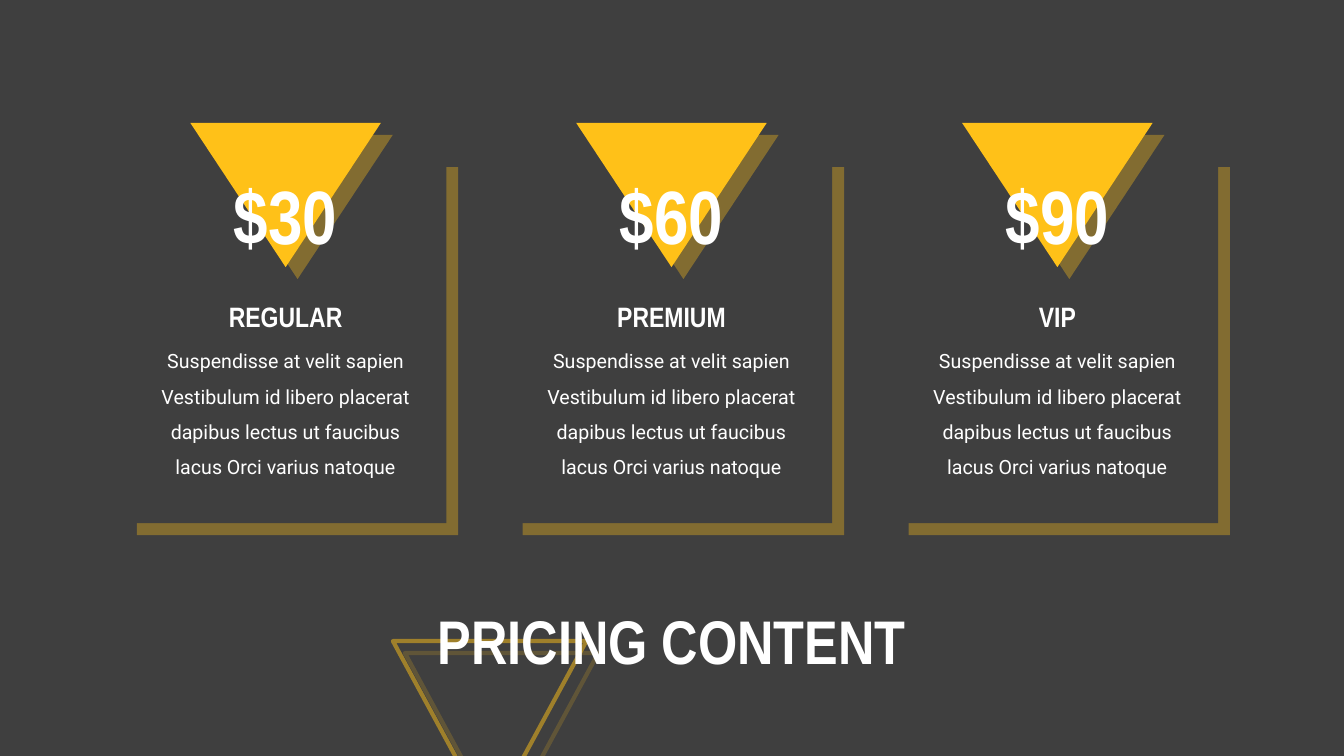
from dataclasses import dataclass

from lxml import etree
from pptx import Presentation
from pptx.dml.color import RGBColor
from pptx.enum.shapes import MSO_SHAPE
from pptx.enum.text import MSO_ANCHOR, MSO_AUTO_SIZE, PP_ALIGN
from pptx.oxml.ns import qn
from pptx.util import Pt

RECT = MSO_SHAPE.RECTANGLE
TRIANGLE = MSO_SHAPE.ISOSCELES_TRIANGLE
CENTER = PP_ALIGN.CENTER
MIDDLE = MSO_ANCHOR.MIDDLE
FIXED = MSO_AUTO_SIZE.NONE
GROW = MSO_AUTO_SIZE.SHAPE_TO_FIT_TEXT

PX = 9144  # EMU in one px, 100 px to the inch
WIDTH, HEIGHT = 1334, 750


@dataclass(frozen=True)
class Theme:
    dark: str = "3F3F3F"
    gold: str = "FFC118"
    white: str = "FFFFFF"
    head: str = "Arial Narrow"
    body: str = "Roboto"
    price: int = 54
    title: int = 44
    plan: int = 20
    text: int = 14


THEME = Theme()

CARD_LEFT, CARD_STEP, CARD_WIDTH = 124, 383, 319
PLANS = [("$30", "REGULAR"), ("$60", "PREMIUM"), ("$90", "VIP")]
BLURB = ("Suspendisse at velit sapien Vestibulum id libero placerat "
         "dapibus lectus ut faucibus lacus Orci varius natoque")


def set_alpha(color, percent):
    etree.SubElement(color, qn("a:alpha"), val=str(percent * 1000))


class Deck:
    def __init__(self, theme):
        self.theme = theme
        self.prs = Presentation()
        self.prs.slide_width = WIDTH * PX
        self.prs.slide_height = HEIGHT * PX
        self.slide = self.prs.slides.add_slide(self.prs.slide_layouts[5])
        fill = self.slide.background.fill
        fill.solid()
        fill.fore_color.rgb = RGBColor.from_string(theme.dark)

    def shadow(self, shape):
        """Cast a hard gold shadow down and to the right."""
        shape.shadow.inherit = False
        effects = shape.element.spPr.find(qn("a:effectLst"))
        outer = etree.SubElement(effects, qn("a:outerShdw"), blurRad="0",
                                 dist=str(Pt(12.1)), dir="2700000",
                                 algn="tl", rotWithShape="0")
        color = etree.SubElement(outer, qn("a:srgbClr"), val=self.theme.gold)
        set_alpha(color, 35)

    def shape(self, kind, box, fill=None, turn=0):
        """Add a filled shape, or a faint gold outline when fill is None."""
        shape = self.slide.shapes.add_shape(kind, *(n * PX for n in box))
        shape.rotation = turn
        if fill:
            shape.fill.solid()
            shape.fill.fore_color.rgb = RGBColor.from_string(fill)
            shape.line.fill.background()
        else:
            shape.fill.background()
            shape.line.width = Pt(3)
            shape.line.color.rgb = RGBColor.from_string(self.theme.gold)
            set_alpha(shape.element.xpath(".//a:ln//a:srgbClr")[0], 50)
        self.shadow(shape)

    def add_run(self, frame, text, size, font, bold, space):
        frame.word_wrap = True
        para = frame.paragraphs[0]
        para.alignment = CENTER
        para.line_spacing = space
        run = para.add_run()
        run.text = text
        run.font.size = Pt(size)
        run.font.name = font
        run.font.bold = bold
        run.font.color.rgb = RGBColor.from_string(self.theme.white)

    def text(self, box, text, size, font, bold=True, space=1.0):
        shape = self.slide.shapes.add_textbox(*(n * PX for n in box))
        self.add_run(shape.text_frame, text, size, font, bold, space)
        shape.text_frame.auto_size = GROW

    def title(self, box, text):
        """Fill the title and bring it to the front."""
        shape = self.slide.shapes.title
        shape.left, shape.top, shape.width, shape.height = (
            n * PX for n in box)
        frame = shape.text_frame
        frame.auto_size = FIXED
        frame.vertical_anchor = MIDDLE
        self.add_run(frame, text, self.theme.title, self.theme.head, True, 0.9)
        shape.element.getparent().append(shape.element)

    def card(self, left, price, plan):
        look = self.theme

        def box(top, width, height):
            return left + (CARD_WIDTH - width) // 2, top, width, height

        self.shape(RECT, box(154, CARD_WIDTH, 365), look.dark)
        self.shape(TRIANGLE, box(122, 189, 143), look.gold, turn=180)
        self.text(box(163, 167, 100), price, look.price, look.head)
        self.text(box(292, 189, 44), plan, look.plan, look.head)
        self.text(box(330, 281, 150), BLURB, look.text, look.body,
                  bold=False, space=1.5)


def main():
    deck = Deck(THEME)
    deck.shape(TRIANGLE, (390, 636, 192, 177), turn=180)
    deck.title((327, 590, 680, 98), "PRICING CONTENT")
    for i, (price, plan) in enumerate(PLANS):
        deck.card(CARD_LEFT + i * CARD_STEP, price, plan)
    deck.prs.save("out.pptx")


if __name__ == "__main__":
    main()
